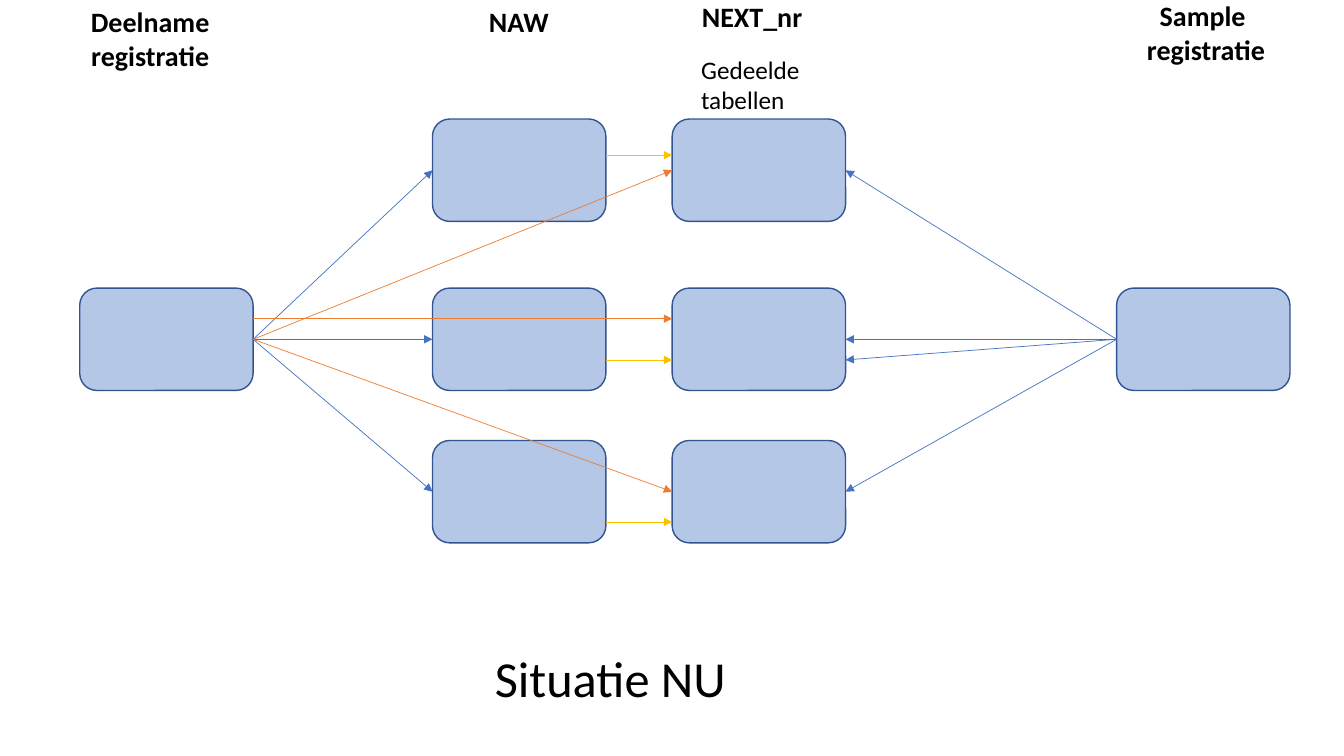
from dataclasses import dataclass

from lxml import etree
from pptx import Presentation
from pptx.dml.color import RGBColor
from pptx.enum.shapes import MSO_CONNECTOR, MSO_SHAPE
from pptx.enum.text import MSO_ANCHOR, MSO_AUTO_SIZE, PP_ALIGN
from pptx.oxml.ns import qn
from pptx.util import Cm, Pt

ROUNDED = MSO_SHAPE.ROUNDED_RECTANGLE
STRAIGHT = MSO_CONNECTOR.STRAIGHT
LEFT, CENTER = PP_ALIGN.LEFT, PP_ALIGN.CENTER
TOP = MSO_ANCHOR.TOP
NO_FIT = MSO_AUTO_SIZE.NONE
LEFT_SIDE, RIGHT_SIDE = 1, 3


@dataclass(frozen=True)
class Theme:
    font: str = "Calibri"
    text: str = "000000"
    table_fill: str = "B4C7E7"
    table_line: str = "325491"
    blue: str = "4472C4"
    orange: str = "ED7D31"
    yellow: str = "FFC000"
    heading_size: int = 20
    note_size: int = 18
    caption_size: int = 36
    border: float = 1
    arrow: float = 0.5


@dataclass(frozen=True)
class Box:
    left: float
    top: float
    width: float
    height: float

    def inner(self, left, top, width, height):
        return Box(self.left + left, self.top + top, width, height)

    def lengths(self):
        return [Cm(value) for value in (self.left, self.top, self.width, self.height)]


THEME = Theme()
TABLE_WIDTH, TABLE_HEIGHT = 4.37, 2.58
COLUMNS = {"deelname": 0, "naw": 8.89, "next": 14.93, "sample": 26.13}
ROWS = (0, 4.26, 8.1)
MIDDLE_ROW = 1


def set_values(target, values):
    for name, value in values.items():
        setattr(target, name, value)


def add_text(page, box, lines, size, bold=False, align=CENTER, wrap=True):
    frame = page.shapes.add_textbox(*box.lengths()).text_frame
    set_values(frame, {"word_wrap": wrap, "auto_size": NO_FIT, "vertical_anchor": TOP})
    for index, line in enumerate(lines):
        para = frame.paragraphs[0] if index == 0 else frame.add_paragraph()
        para.alignment = align
        span = para.add_run()
        span.text = line
        set_values(span.font, {"name": THEME.font, "size": Pt(size), "bold": bold})
        span.font.color.rgb = RGBColor.from_string(THEME.text)


def add_table_box(page, box):
    shape = page.shapes.add_shape(ROUNDED, *box.lengths())
    shape.shadow.inherit = False
    shape.fill.solid()
    shape.fill.fore_color.rgb = RGBColor.from_string(THEME.table_fill)
    shape.line.color.rgb = RGBColor.from_string(THEME.table_line)
    shape.line.width = Pt(THEME.border)
    return shape


def side_point(shape, side, offset):
    x = shape.left + (shape.width if side == RIGHT_SIDE else 0)
    return x, shape.top + shape.height // 2 + Cm(offset)


def add_arrow(page, source, target, color, start_offset=0, end_offset=0):
    rightward = source.left < target.left
    start_side, end_side = (RIGHT_SIDE, LEFT_SIDE) if rightward else (LEFT_SIDE, RIGHT_SIDE)
    start = side_point(source, start_side, start_offset)
    end = side_point(target, end_side, end_offset)
    arrow = page.shapes.add_connector(STRAIGHT, *start, *end)
    if start_offset == 0:
        arrow.begin_connect(source, start_side)
    if end_offset == 0:
        arrow.end_connect(target, end_side)
    arrow.line.color.rgb = RGBColor.from_string(color)
    arrow.line.width = Pt(THEME.arrow)
    etree.SubElement(arrow.line._get_or_add_ln(), qn("a:tailEnd"), type="triangle")
    etree.SubElement(arrow._element.spPr, qn("a:effectLst"))


def add_diagram(page, box):
    tables = {}
    for name, left in COLUMNS.items():
        rows = range(len(ROWS)) if name in ("naw", "next") else [MIDDLE_ROW]
        for row in rows:
            place = box.inner(left, ROWS[row], TABLE_WIDTH, TABLE_HEIGHT)
            tables[name, row] = add_table_box(page, place)

    deelname = tables["deelname", MIDDLE_ROW]
    sample = tables["sample", MIDDLE_ROW]
    shared_offsets = (0, -0.52, 0)
    naw_offsets = (-0.38, 0.52, 0.76)
    for row in range(len(ROWS)):
        naw, shared = tables["naw", row], tables["next", row]
        add_arrow(page, deelname, naw, THEME.blue)
        add_arrow(page, deelname, shared, THEME.orange, shared_offsets[row], shared_offsets[row])
        add_arrow(page, sample, shared, THEME.blue)
        add_arrow(page, naw, shared, THEME.yellow, naw_offsets[row], naw_offsets[row])
    add_arrow(page, sample, tables["next", MIDDLE_ROW], THEME.blue, end_offset=0.52)


def add_headings(page, box):
    headings = (
        (["Deelname registratie"], (0, 0.15, 4.37, 2.74), True),
        (["NAW"], (10.46, 0.15, 2.03, 1.12), False),
        (["NEXT_nr"], (15.82, 0.02, 3.07, 1.12), False),
        (["Sample", " registratie"], (26.87, 0, 3.68, 1.96), False),
    )
    for lines, place, wrap in headings:
        add_text(page, box.inner(*place), lines, THEME.heading_size, bold=True, wrap=wrap)
    note = box.inner(15.82, 1.39, 4.98, 1.8)
    add_text(page, note, ["Gedeelde tabellen"], THEME.note_size, align=LEFT)


def add_caption(page, box):
    add_text(page, box, ["Situatie NU"], THEME.caption_size, align=LEFT)


def main():
    deck = Presentation()
    set_values(deck, {"slide_width": Cm(33.87), "slide_height": Cm(19.05)})
    page = deck.slides.add_slide(deck.slide_layouts[6])
    add_diagram(page, Box(2.01, 3, 30.5, 10.68))
    add_headings(page, Box(1.6, -0.15, 30.55, 3.19))
    add_caption(page, Box(12.22, 16.18, 17.58, 1.8))
    deck.save("out.pptx")


if __name__ == "__main__":
    main()
